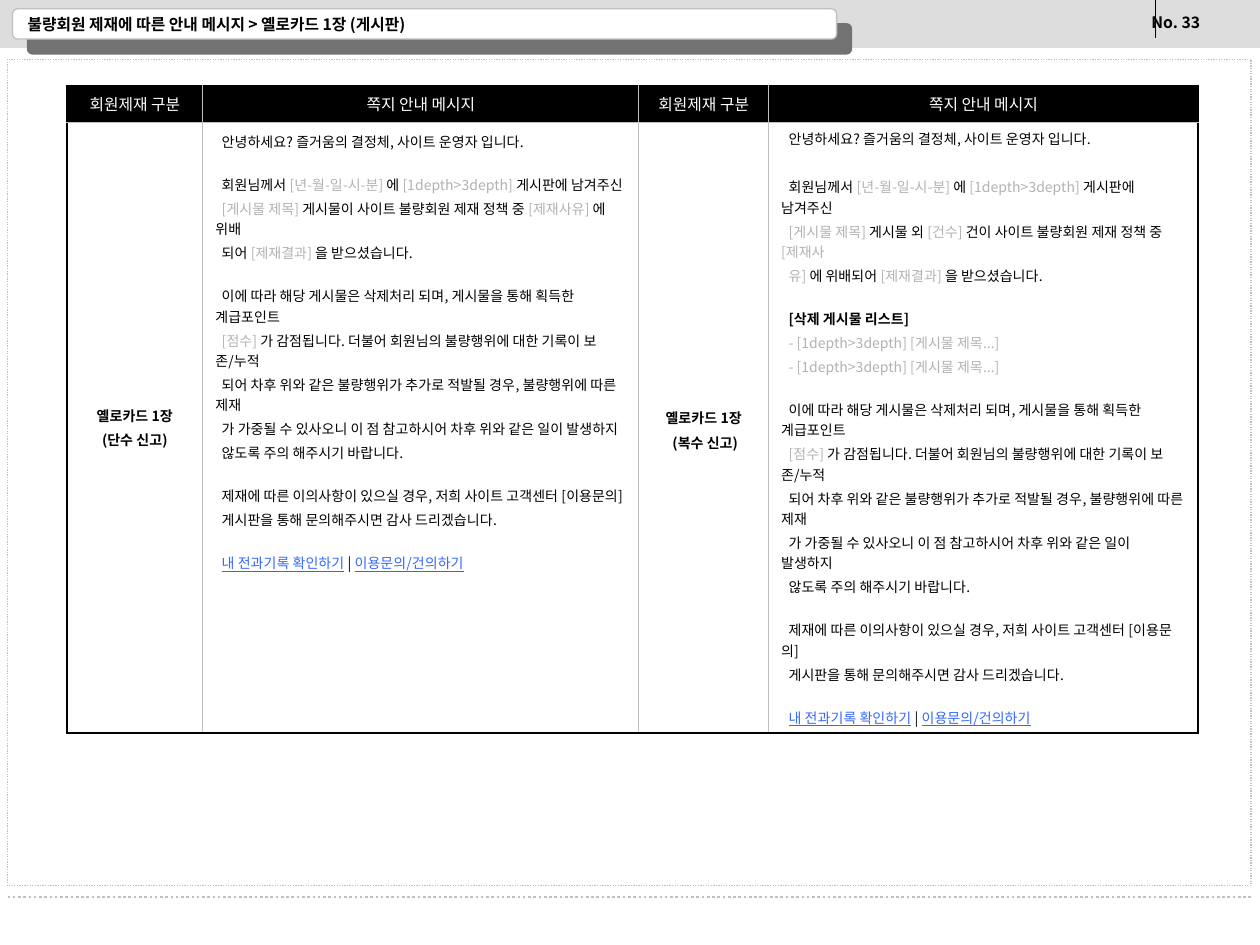
from lxml import etree
from pptx import Presentation
from pptx.dml.color import RGBColor
from pptx.enum.dml import MSO_LINE
from pptx.enum.shapes import MSO_CONNECTOR, MSO_SHAPE
from pptx.enum.text import MSO_ANCHOR, PP_ALIGN
from pptx.oxml.ns import qn
from pptx.util import Inches, Pt

RECTANGLE, ROUNDED = MSO_SHAPE.RECTANGLE, MSO_SHAPE.ROUNDED_RECTANGLE
DOTTED = MSO_LINE.ROUND_DOT
LEFT, CENTER = PP_ALIGN.LEFT, PP_ALIGN.CENTER
TOP, MIDDLE = MSO_ANCHOR.TOP, MSO_ANCHOR.MIDDLE

FONT = "Noto Sans CJK KR"
BLACK, WHITE, GRAY, FIELD, LINK = "000000", "FFFFFF", "C0C0C0", "B2B2B2", "3366FF"

TITLE = "불량회원 제재에 따른 안내 메시지 > 옐로카드 1장 (게시판)"
PAGE_NUMBER = "No. 33"
HEADERS = ["회원제재 구분", "쪽지 안내 메시지"] * 2
COLUMN_WIDTHS = [1.08, 3.46, 1.03, 3.41]
ROW_HEIGHTS = [0.29, 4.85]

# A paragraph is a list of (text, colour) spans; a message is a list of blocks of paragraphs.
GREETING = [[("안녕하세요? 즐거움의 결정체, 사이트 운영자 입니다.", BLACK)]]
OCCASION = [("회원님께서 ", BLACK), ("[년-월-일-시-분] ", FIELD), ("에 ", BLACK),
            ("[1depth>3depth] ", FIELD), ("게시판에 남겨주신", BLACK)]
SINGLE_REASON = [
    OCCASION,
    [("[게시물 제목] ", FIELD), ("게시물이 사이트 불량회원 제재 정책 중 ", BLACK),
     ("[제재사유] ", FIELD), ("에 위배", BLACK)],
    [("되어 ", BLACK), ("[제재결과] ", FIELD), ("을 받으셨습니다.", BLACK)],
]
MULTIPLE_REASON = [
    OCCASION,
    [("[게시물 제목] ", FIELD), ("게시물 외 ", BLACK), ("[건수] ", FIELD),
     ("건이 사이트 불량회원 제재 정책 중 ", BLACK), ("[제재사", FIELD)],
    [("유] ", FIELD), ("에 위배되어 ", BLACK), ("[제재결과] ", FIELD), ("을 받으셨습니다.", BLACK)],
]
LIST_TITLE = "[삭제 게시물 리스트]"
DELETED_POSTS = [[(LIST_TITLE, BLACK)]] + [[("- [1depth>3depth] [게시물 제목...]", FIELD)]] * 2
CLOSING = [
    [
        [("이에 따라 해당 게시물은 삭제처리 되며, 게시물을 통해 획득한 계급포인트", BLACK)],
        [("[점수] ", FIELD),
         ("가 감점됩니다. 더불어 회원님의 불량행위에 대한 기록이 보존/누적", BLACK)],
        [("되어 차후 위와 같은 불량행위가 추가로 적발될 경우, 불량행위에 따른 제재", BLACK)],
        [("가 가중될 수 있사오니 이 점 참고하시어 차후 위와 같은 일이 발생하지", BLACK)],
        [("않도록 주의 해주시기 바랍니다.", BLACK)],
    ],
    [
        [("제재에 따른 이의사항이 있으실 경우, 저희 사이트 고객센터 [이용문의]", BLACK)],
        [("게시판을 통해 문의해주시면 감사 드리겠습니다.", BLACK)],
    ],
    [[("내 전과기록 확인하기", LINK), (" | ", BLACK), ("이용문의/건의하기", LINK)]],
]
SINGLE_MESSAGE = [GREETING, SINGLE_REASON] + CLOSING
MULTIPLE_MESSAGE = [GREETING, MULTIPLE_REASON, DELETED_POSTS] + CLOSING
SINGLE_LABEL = [[[("옐로카드 1장", BLACK)], [("(단수 신고)", BLACK)]]]
MULTIPLE_LABEL = [[[("옐로카드 1장\v (복수 신고)", BLACK)]]]


def color(code):
    return RGBColor.from_string(code)


def write(frame, blocks, size=8, bold=False, align=LEFT, anchor=MIDDLE,
          indent=0, gaps=(13,), spacing=None):
    """Fill a frame; gaps are the points between blocks, the last one repeating."""
    frame.vertical_anchor = anchor
    first = True
    for number, block in enumerate(blocks):
        for position, spans in enumerate(block):
            para = frame.paragraphs[0] if first else frame.add_paragraph()
            para.alignment = align
            if not first:
                gap = gaps[min(number, len(gaps)) - 1]
                para.space_before = Pt(2 if position else gap)
            if spacing:
                para.line_spacing = spacing
            if indent:
                para._p.get_or_add_pPr().set("indent", str(Inches(indent)))
            first = False
            for text, code in spans:
                if "\v" in text:
                    head, text = text.split("\v")
                    add_span(para, head, code, size, bold)
                    para.add_line_break()
                add_span(para, text, code, size, bold or text == LIST_TITLE)


def add_span(para, text, code, size, bold):
    span = para.add_run()
    span.text = text
    font = span.font
    font.name, font.size, font.bold = FONT, Pt(size), bold
    font.underline = code == LINK
    font.color.rgb = color(code)
    east_asian = etree.SubElement(font._element, qn("a:ea"))
    east_asian.set("typeface", FONT)


def add_box(page, kind, left, top, width, height, fill, line=None, dash=None):
    box = page.shapes.add_shape(kind, Inches(left), Inches(top), Inches(width), Inches(height))
    box.shadow.inherit = False
    box.fill.solid()
    box.fill.fore_color.rgb = color(fill)
    if line:
        box.line.color.rgb = color(line)
        box.line.width = Pt(0.75)
        box.line.dash_style = dash
    else:
        box.line.fill.background()
    return box


def add_drop_shadow(box, code, distance):
    effects = box._element.spPr.find(qn("a:effectLst"))
    shadow = etree.SubElement(effects, qn("a:outerShdw"), dist=str(Pt(distance)),
                              dir="2700000", algn="ctr", rotWithShape="0")
    etree.SubElement(shadow, qn("a:srgbClr"), val=code)


def add_line(page, x1, y1, x2, y2, code, width, dash=None):
    line = page.shapes.add_connector(MSO_CONNECTOR.STRAIGHT, Inches(x1), Inches(y1),
                                     Inches(x2), Inches(y2))
    line.line.color.rgb = color(code)
    line.line.width = Pt(width)
    line.line.dash_style = dash
    etree.SubElement(line._element.spPr, qn("a:effectLst"))


def add_text(page, left, top, width, height, text, wrap=True, **style):
    box = page.shapes.add_textbox(Inches(left), Inches(top), Inches(width), Inches(height))
    box.text_frame.word_wrap = wrap
    write(box.text_frame, [[[(text, BLACK)]]], **style)


def set_borders(cell, outer):
    """Draw heavy black lines on the outer sides and thin gray ones on the rest."""
    properties = cell._tc.get_or_add_tcPr()
    for index, side in enumerate("LRTB"):
        width, code = (1.08, BLACK) if side in outer else (0.45, GRAY)
        border = etree.Element(qn("a:ln" + side), w=str(Pt(width)))
        fill = etree.SubElement(border, qn("a:solidFill"))
        etree.SubElement(fill, qn("a:srgbClr"), val=code)
        properties.insert(index, border)


def add_message_table(page, left, top):
    table = page.shapes.add_table(2, 4, Inches(left), Inches(top), Inches(sum(COLUMN_WIDTHS)),
                                  Inches(sum(ROW_HEIGHTS))).table
    table.first_row = table.horz_banding = False
    for column, width in zip(table.columns, COLUMN_WIDTHS):
        column.width = Inches(width)
    for row, height in zip(table.rows, ROW_HEIGHTS):
        row.height = Inches(height)

    label = dict(bold=True, align=CENTER)
    message = dict(anchor=TOP, indent=0.05)
    body = [
        (SINGLE_LABEL, 0.05, label),
        (SINGLE_MESSAGE, 0.07, message),
        (MULTIPLE_LABEL, 0.05, dict(label, spacing=1.2)),
        (MULTIPLE_MESSAGE, 0.05, dict(message, indent=0.06, gaps=(15.8, 13))),
    ]
    for index, (header, (blocks, margin, style)) in enumerate(zip(HEADERS, body)):
        sides = {0: "L", 3: "R"}.get(index, "")
        head, cell = table.cell(0, index), table.cell(1, index)
        head.fill.solid()
        head.fill.fore_color.rgb = color(BLACK)
        write(head.text_frame, [[[(header, WHITE)]]], size=9, align=CENTER)
        head.vertical_anchor = MIDDLE
        set_borders(head, sides + "T")
        cell.fill.background()
        cell.margin_top = Inches(margin)
        write(cell.text_frame, blocks, **style)
        cell.vertical_anchor = style.get("anchor", MIDDLE)
        set_borders(cell, sides + "B")


def main():
    deck = Presentation()
    deck.slide_width, deck.slide_height = Inches(10), Inches(7.5)
    page = deck.slides.add_slide(deck.slide_layouts[6])

    add_box(page, RECTANGLE, 0, 0, 10, 0.38, "DDDDDD")
    add_line(page, 9.17, 0, 9.17, 0.3, BLACK, 0.75)
    add_text(page, 9.04, 0.05, 1.08, 0.28, PAGE_NUMBER, wrap=False, size=9, bold=True, anchor=TOP)
    title_bar = add_box(page, ROUNDED, 0.1, 0.07, 6.54, 0.24, WHITE, GRAY)
    add_drop_shadow(title_bar, "727272", 12.1)
    add_line(page, 0.06, 7.12, 9.94, 7.12, GRAY, 1.5, DOTTED)
    add_text(page, 0.12, 0.1, 5.42, 0.18, TITLE, size=9, bold=True)
    add_box(page, RECTANGLE, 0.06, 0.47, 9.87, 6.56, WHITE, GRAY, DOTTED)
    add_message_table(page, 0.53, 0.68)

    deck.save("out.pptx")


if __name__ == "__main__":
    main()
